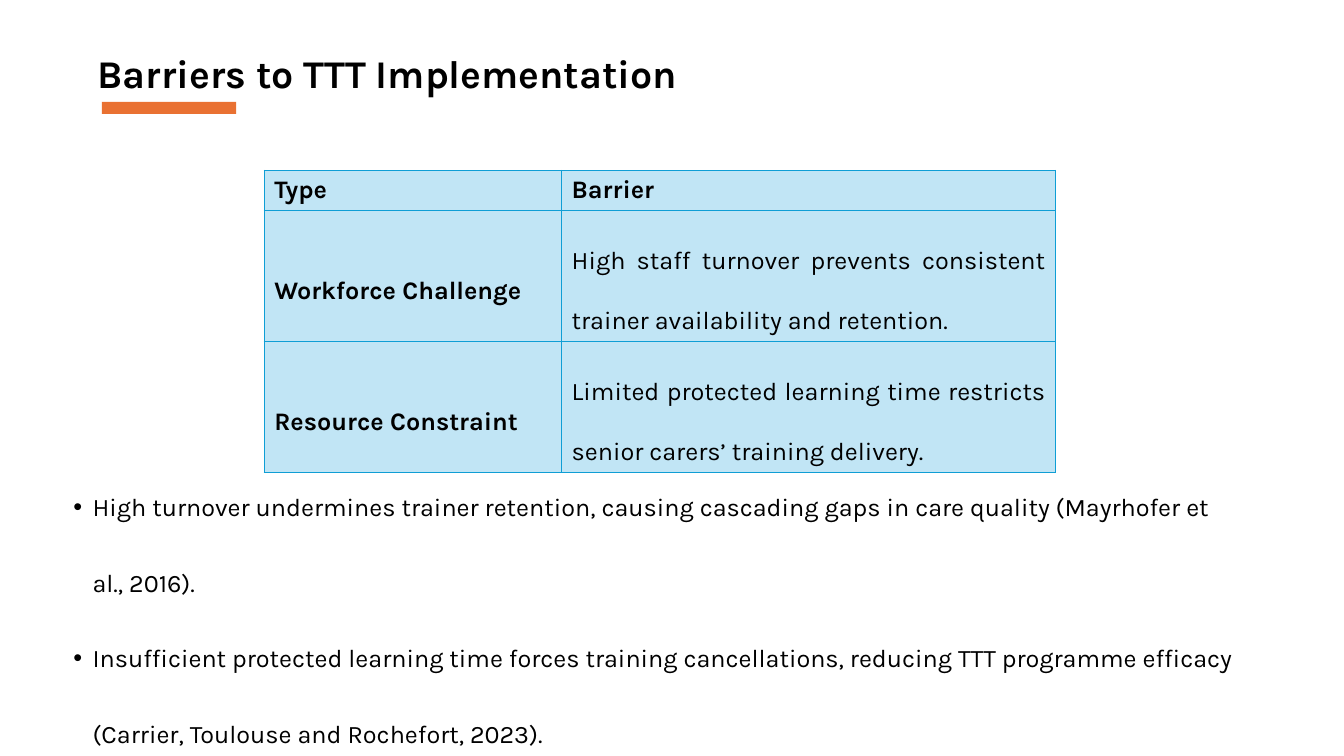
import pptx
import pptx.dml.color
import pptx.enum.shapes
import pptx.enum.text
import pptx.oxml.ns
import pptx.util
from lxml import etree

COLORS = {"text": "000000", "accent": "E97132", "cell": "C1E5F5", "border": "0F9ED5"}
FONT = "Karla"
ALIGN = pptx.enum.text.PP_ALIGN
ANCHOR = pptx.enum.text.MSO_ANCHOR

TITLE = "Barriers to TTT Implementation"
BARRIERS = [
    ("Type", "Barrier"),
    ("Workforce Challenge",
     "High staff turnover prevents consistent trainer availability and retention."),
    ("Resource Constraint",
     "Limited protected learning time restricts senior carers’ training delivery."),
]
POINTS = [
    "High turnover undermines trainer retention, causing cascading gaps in care quality "
    "(Mayrhofer et al., 2016).",
    "Insufficient protected learning time forces training cancellations, reducing TTT "
    "programme efficacy (Carrier, Toulouse and Rochefort, 2023).",
]


def rgb(name):
    return pptx.dml.color.RGBColor.from_string(COLORS[name])


def inches(*lengths):
    return [pptx.util.Inches(n) for n in lengths]


def write(p, text, size=18, bold=False, align=ALIGN.LEFT, spacing=1.0, bullet=False):
    """Put formatted text into a paragraph."""
    p.alignment = align
    p.line_spacing = spacing
    if bullet:
        indent = pptx.util.Inches(0.19)
        pPr = p._p.get_or_add_pPr()
        pPr.set("marL", str(indent))
        pPr.set("indent", str(-indent))
        for tag, key, value in (("buFont", "typeface", "Arial"), ("buChar", "char", "•")):
            etree.SubElement(pPr, pptx.oxml.ns.qn("a:" + tag)).set(key, value)
    r = p.add_run()
    r.text = text
    r.font.name = FONT
    r.font.size = pptx.util.Pt(size)
    r.font.bold = bold
    r.font.color.rgb = rgb("text")


def add_text(s, box, lines, anchor=ANCHOR.TOP, **fmt):
    tf = s.shapes.add_textbox(*inches(*box)).text_frame
    tf.word_wrap = True
    tf.auto_size = pptx.enum.text.MSO_AUTO_SIZE.SHAPE_TO_FIT_TEXT
    tf.vertical_anchor = anchor
    for i, line in enumerate(lines):
        write(tf.add_paragraph() if i else tf.paragraphs[0], line, **fmt)


def set_borders(cell):
    tcPr = cell._tc.get_or_add_tcPr()
    for i, side in enumerate(("lnL", "lnR", "lnT", "lnB")):
        ln = etree.Element(pptx.oxml.ns.qn("a:" + side), w=str(pptx.util.Pt(1)))
        fill = etree.SubElement(ln, pptx.oxml.ns.qn("a:solidFill"))
        etree.SubElement(fill, pptx.oxml.ns.qn("a:srgbClr"), val=COLORS["border"])
        tcPr.insert(i, ln)  # borders come before the fill


def add_heading(s, box):
    x, y, w, h = box
    add_text(s, box, [TITLE], size=28, bold=True)
    # Accent bar under the title
    bar = s.shapes.add_shape(pptx.enum.shapes.MSO_SHAPE.RECTANGLE,
                             *inches(x + 0.14, y + h, w / 5, 0.12))
    bar.shadow.inherit = False
    bar.fill.solid()
    bar.fill.fore_color.rgb = rgb("accent")
    bar.line.fill.background()


def add_barrier_table(s, box):
    x, y, w, h = box
    table = s.shapes.add_table(len(BARRIERS), 2, *inches(*box)).table
    header = 0.4
    body = (h - header) / (len(BARRIERS) - 1)
    first = 2.95
    for col, width in zip(table.columns, inches(first, w - first)):
        col.width = width
    for i, entries in enumerate(BARRIERS):
        table.rows[i].height = pptx.util.Inches(body if i else header)
        for j, text in enumerate(entries):
            cell = table.cell(i, j)
            cell.vertical_anchor = ANCHOR.MIDDLE
            cell.fill.solid()
            cell.fill.fore_color.rgb = rgb("cell")
            set_borders(cell)
            write(cell.text_frame.paragraphs[0], text, bold=i == 0 or j == 0,
                  align=ALIGN.JUSTIFY if i and j else ALIGN.LEFT,
                  spacing=2.0 if i else 1.0)


def add_points(s, box):
    add_text(s, box, POINTS, anchor=ANCHOR.MIDDLE, spacing=2.5, bullet=True)


def main():
    prs = pptx.Presentation()
    prs.slide_width, prs.slide_height = inches(13.33, 7.5)
    s = prs.slides.add_slide(prs.slide_layouts[6])
    add_heading(s, (0.87, 0.44, 6.67, 0.57))
    add_barrier_table(s, (2.62, 1.69, 7.85, 3.0))
    add_points(s, (0.63, 4.8, 11.83, 2.25))
    prs.save("out.pptx")


if __name__ == "__main__":
    main()
